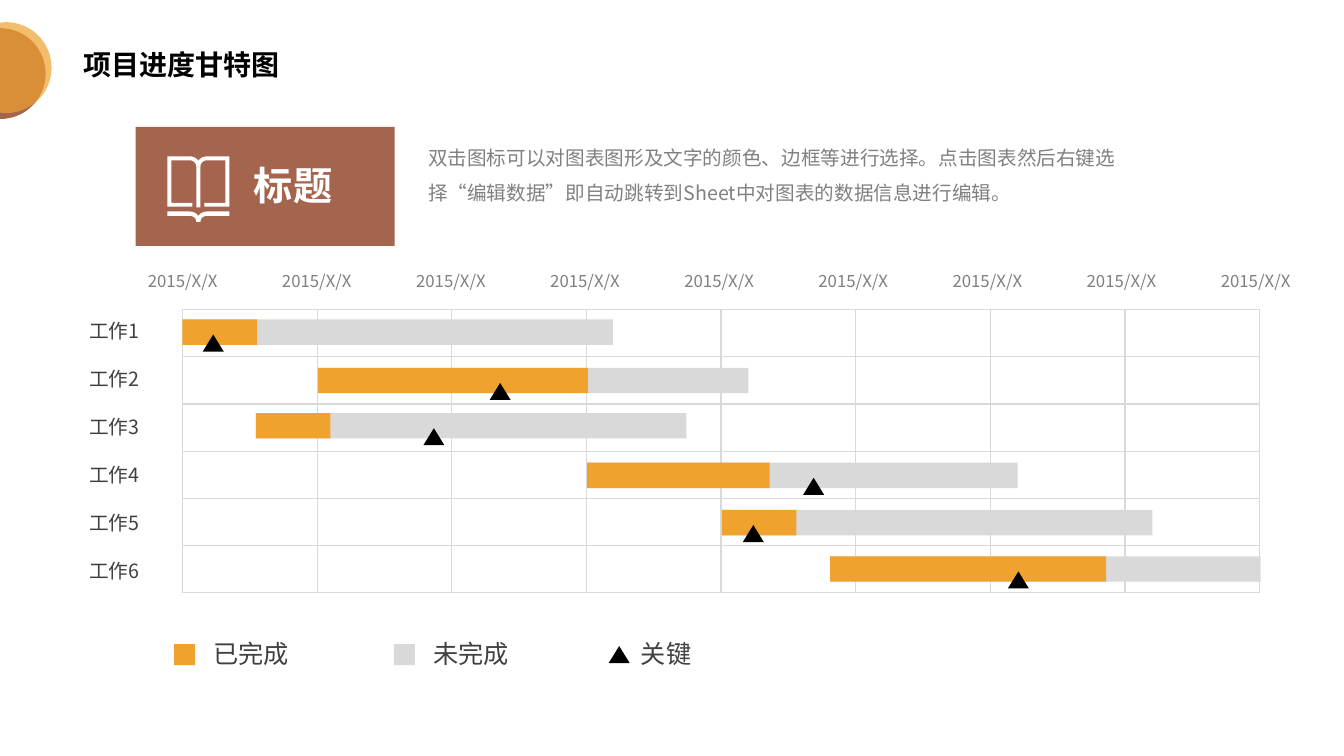
from dataclasses import dataclass
from math import cos, pi, sin

from lxml.etree import SubElement
from pptx import Presentation
from pptx.dml.color import RGBColor
from pptx.enum.shapes import MSO_SHAPE
from pptx.enum.text import MSO_ANCHOR, MSO_AUTO_SIZE, PP_ALIGN
from pptx.oxml import parse_xml
from pptx.oxml.ns import nsdecls, qn
from pptx.util import Cm, Pt


@dataclass(frozen=True)
class Theme:
    font: str = "Noto Sans CJK SC"
    brown: str = "A5644E"
    orange: str = "F0A22E"
    grey: str = "D9D9D9"
    black: str = "000000"
    white: str = "FFFFFF"
    dark: str = "404040"
    muted: str = "808080"
    heading: int = 28
    title: int = 20
    legend: int = 18
    body: int = 14
    date: int = 12


class Canvas:
    def __init__(self, theme, page):
        self.theme = theme
        self.page = page
        self.shapes = page.shapes

    def open_group(self):
        self.shapes = self.page.shapes.add_group_shape().shapes

    def close_group(self):
        self.shapes = self.page.shapes

    def paint(self, shape, color, opacity=100):
        shape.shadow.inherit = False
        shape.fill.solid()
        shape.fill.fore_color.rgb = RGBColor.from_string(color)
        shape.line.fill.background()
        if opacity < 100:
            tint = shape.fill._xPr.find(qn("a:solidFill"))[0]
            SubElement(tint, qn("a:alpha"), val=str(opacity * 1000))

    def shape(self, kind, left, top, width, height, color, opacity=100):
        shape = self.shapes.add_shape(kind, Cm(left), Cm(top), Cm(width), Cm(height))
        self.paint(shape, color, opacity)

    def outline(self, points, color):
        corners = [(Cm(x), Cm(y)) for x, y in points]
        builder = self.shapes.build_freeform(*corners[0])
        builder.add_line_segments(corners[1:], close=True)
        self.paint(builder.convert_to_shape(), color)

    def text(self, words, left, top, width, height, size, color, bold=False,
             align=PP_ALIGN.LEFT, spacing=None, anchor=MSO_ANCHOR.TOP, grow=True):
        box = self.shapes.add_textbox(Cm(left), Cm(top), Cm(width), Cm(height))
        frame = box.text_frame
        frame.word_wrap = True
        frame.auto_size = MSO_AUTO_SIZE.SHAPE_TO_FIT_TEXT if grow else MSO_AUTO_SIZE.NONE
        frame.vertical_anchor = anchor
        if align == PP_ALIGN.RIGHT:
            frame.margin_left = 0
        frame.text = words
        para = frame.paragraphs[0]
        para.alignment = align
        para.line_spacing = spacing
        font = para.runs[0].font
        font.size = Pt(size)
        font.bold = bold
        font.color.rgb = RGBColor.from_string(color)
        font.name = self.theme.font
        SubElement(font._element, qn("a:ea"), typeface=self.theme.font)

    def grid(self, rows, columns, left, top, width, height, color):
        table = self.shapes.add_table(
            rows, columns, Cm(left), Cm(top), Cm(width), Cm(height)).table
        table.first_row = False
        table.horz_banding = False
        for cell in table.iter_cells():
            cell.margin_top = cell.margin_bottom = 0
            cell.fill.background()
            properties = cell._tc.get_or_add_tcPr()
            for place, side in enumerate(("lnL", "lnR", "lnT", "lnB")):
                properties.insert(place, parse_xml(
                    f'<a:{side} {nsdecls("a")} w="12700"><a:solidFill>'
                    f'<a:srgbClr val="{color}"/></a:solidFill></a:{side}>'))

    def key_mark(self, left, top):
        self.shape(MSO_SHAPE.ISOSCELES_TRIANGLE, left, top, 0.53, 0.43, self.theme.black)

    def task_bar(self, left, top, done, key):
        self.shape(MSO_SHAPE.RECTANGLE, left, top, 10.85, 0.64, self.theme.grey)
        self.shape(MSO_SHAPE.RECTANGLE, left, top, done, 0.64, self.theme.orange)
        self.key_mark(key, top + 0.38)


def arc(start, end, steps=10):
    (x0, y0), (x1, y1) = start, end
    angles = [pi / 2 * step / steps for step in range(steps + 1)]
    return [(x0 + (x1 - x0) * sin(a), y1 + (y0 - y1) * cos(a)) for a in angles]


def draw_book(canvas):
    white = canvas.theme.white
    book_page = [(4.85, 5.21), (4.22, 5.21), (4.22, 3.94),
                 *arc((4.78, 3.94), (5.05, 4.2)),
                 *reversed(arc((4.78, 4.04), (4.95, 4.2))),
                 (4.32, 4.04), (4.32, 5.11), (4.85, 5.11)]
    cover = [*reversed(arc((4.78, 5.44), (4.95, 5.59))),
             (4.22, 5.44), (4.22, 5.33),
             *arc((4.78, 5.33), (5.05, 5.59))]
    canvas.shape(MSO_SHAPE.RECTANGLE, 4.95, 4.2, 0.1, 1.03, white)
    for half in (cover, book_page):
        canvas.outline(half, white)
        canvas.outline([(10 - x, y) for x, y in half], white)


def draw_header(canvas):
    theme = canvas.theme
    canvas.shape(MSO_SHAPE.OVAL, -1.14, 0.71, 2.29, 2.29, theme.brown)
    canvas.shape(MSO_SHAPE.OVAL, -0.99, 0.56, 2.29, 2.29, theme.orange, 70)
    canvas.text("项目进度甘特图", 1.85, 0.94, 12.4, 1.47, theme.title, theme.black,
                bold=True, spacing=0.9, anchor=MSO_ANCHOR.MIDDLE, grow=False)
    canvas.text("双击图标可以对图表图形及文字的颜色、边框等进行选择。点击图表然后右键选择"
                "“编辑数据”即自动跳转到Sheet中对图表的数据信息进行编辑。",
                10.54, 3.25, 18.11, 2.06, theme.body, theme.muted, spacing=1.5)
    canvas.open_group()
    canvas.shape(MSO_SHAPE.RECTANGLE, 3.42, 3.2, 6.53, 3, theme.brown)
    draw_book(canvas)
    canvas.text("标题", 6.15, 3.94, 2.87, 1.45, theme.heading, theme.white, bold=True)
    canvas.close_group()


def draw_gantt(canvas):
    theme = canvas.theme
    tasks = [(4.6, 8.05, 1.88, 5.11), (8.01, 9.27, 6.81, 12.34),
             (6.45, 10.41, 1.88, 10.67), (14.8, 11.66, 4.6, 20.24),
             (18.19, 12.85, 1.88, 18.72), (20.92, 14.02, 6.96, 25.4)]
    columns = 8
    canvas.grid(len(tasks), columns, 4.6, 7.8, 27.15, 7.14, theme.grey)
    for column in range(columns + 1):
        canvas.text("2015/X/X", 3.35 + 3.38 * column, 6.71, 2.51, 0.76,
                    theme.date, theme.muted, align=PP_ALIGN.CENTER)
    for row, task in enumerate(tasks):
        canvas.text(f"工作{row + 1}", 1.85, 7.9 + 1.21 * row, 1.91, 0.86,
                    theme.body, theme.dark, align=PP_ALIGN.RIGHT)
        canvas.task_bar(*task)


def draw_legend(canvas):
    theme = canvas.theme
    for left, color in ((4.39, theme.orange), (9.93, theme.grey)):
        canvas.shape(MSO_SHAPE.RECTANGLE, left, 16.23, 0.53, 0.53, color)
    canvas.key_mark(15.34, 16.28)
    for words, left in (("已完成", 5.13), ("未完成", 10.67), ("关键", 15.9)):
        canvas.text(words, left, 15.97, 3.02, 1.02, theme.legend, theme.dark)


def main():
    deck = Presentation()
    deck.slide_width = Cm(33.87)
    deck.slide_height = Cm(19.05)
    canvas = Canvas(Theme(), deck.slides.add_slide(deck.slide_layouts[6]))
    draw_header(canvas)
    draw_gantt(canvas)
    draw_legend(canvas)
    deck.save("out.pptx")


if __name__ == "__main__":
    main()
